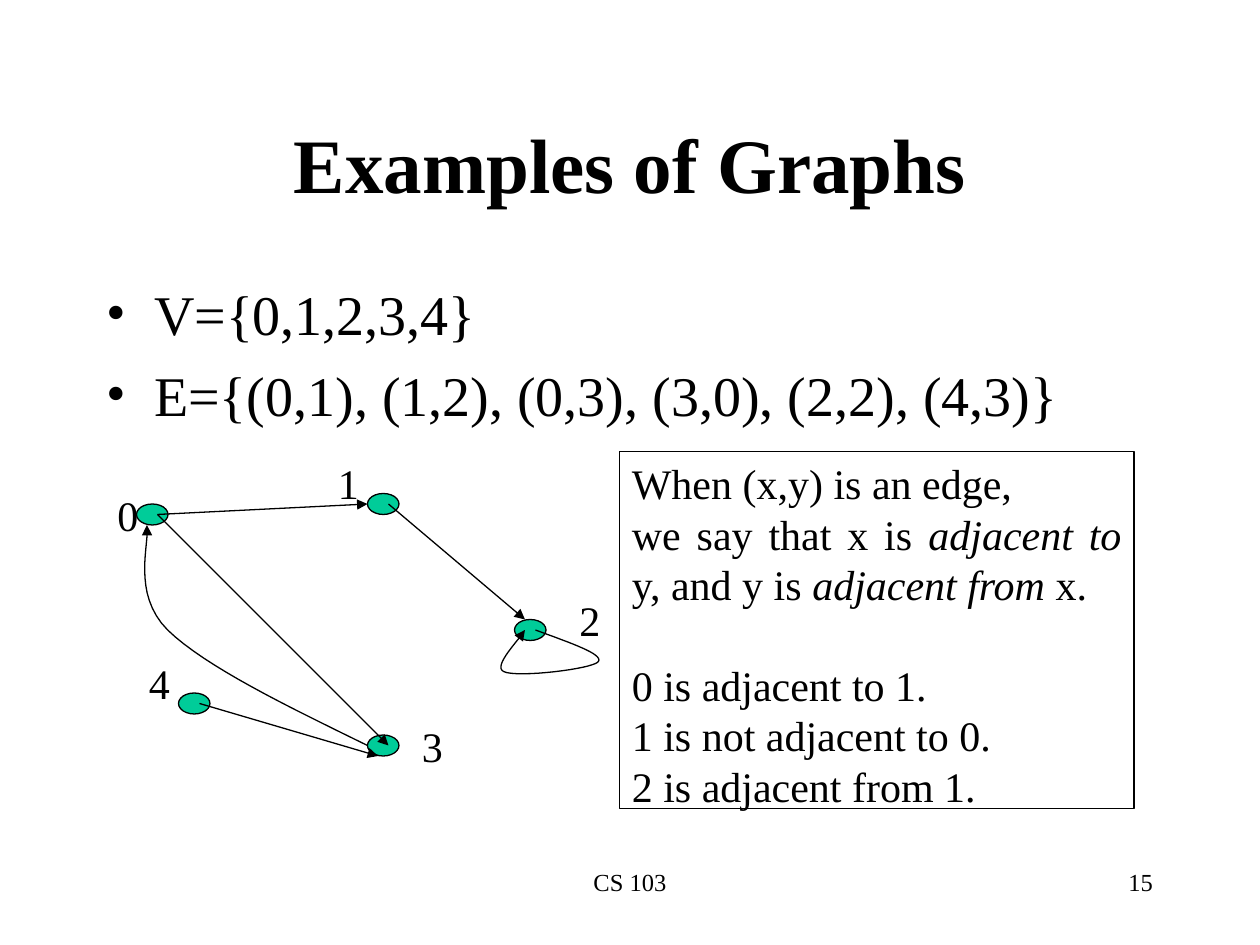
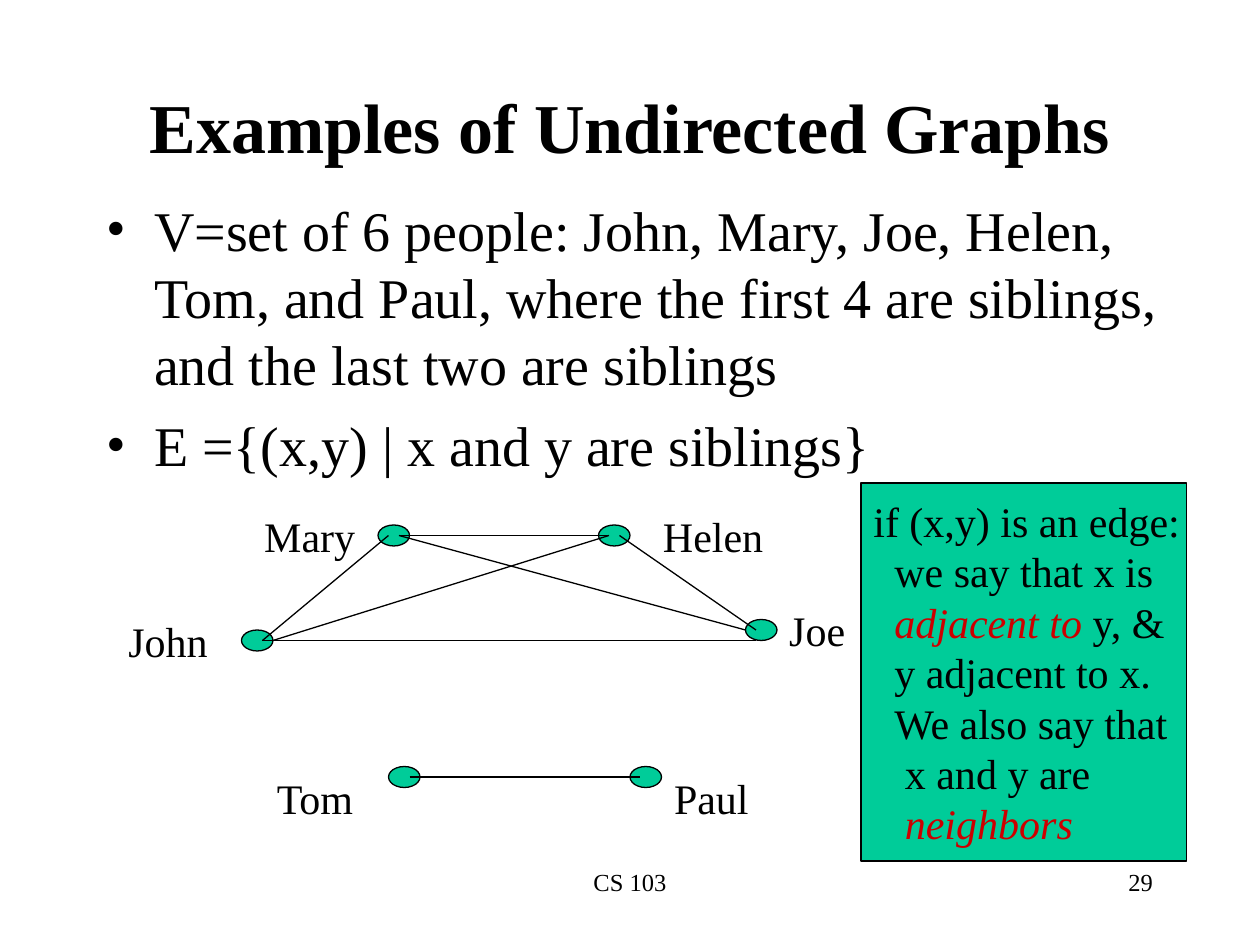
from pptx import Presentation
from pptx.dml.color import RGBColor
from pptx.enum.shapes import MSO_CONNECTOR, MSO_SHAPE
from pptx.enum.text import MSO_ANCHOR, MSO_AUTO_SIZE, PP_ALIGN
from pptx.oxml.ns import qn
from pptx.util import Pt
from lxml import etree

LEFT, CENTER, RIGHT, JUSTIFY = PP_ALIGN.LEFT, PP_ALIGN.CENTER, PP_ALIGN.RIGHT, PP_ALIGN.JUSTIFY
TOP, MIDDLE = MSO_ANCHOR.TOP, MSO_ANCHOR.MIDDLE
GROW, FIXED = MSO_AUTO_SIZE.SHAPE_TO_FIT_TEXT, MSO_AUTO_SIZE.NONE
OVAL, RECTANGLE = MSO_SHAPE.OVAL, MSO_SHAPE.RECTANGLE
STRAIGHT = MSO_CONNECTOR.STRAIGHT

FONT = "Times New Roman"
BLACK, GREEN, RED = "000000", "00CC99", "CC0000"
LINE_WIDTH = 0.75
NODE_WIDTH, NODE_HEIGHT = 18, 12
PORTS = {
    "left": (0, 6), "middle": (6, 6), "inner": (12, 6),
    "right": (18, 6), "top": (6, 0), "bottom": (6, 12),
}
CURVE_STEPS = 16

DIRECTED = {
    "nodes": {"0": (18, 30), "4": (42, 138), "3": (150, 162), "2": (234, 96), "1": (150, 24)},
    "labels": {"0": (0, 18, 27), "1": (126, 0, 27), "4": (18, 114, 27),
               "2": (264, 78, 27), "3": (174, 150, 27)},
    "edges": [("0", "inner", "1", "left"), ("1", "inner", "2", "top"),
              ("0", "inner", "3", "inner"), ("4", "inner", "3", "bottom")],
    "curves": [
        [(246, 102), (265.4, 109.2), (284.9, 115.7), (282, 120), (279.1, 124.3),
         (235.2, 129.4), (228, 125.8), (220.8, 122.9), (238, 106.3), (240, 102)],
        [(150, 168), (103.4, 145.2), (57.4, 122.9), (35.8, 102),
         (14.9, 81.1), (25.7, 52.3), (24, 42)],
    ],
}
SIBLINGS = {
    "nodes": {"John": (72, 72), "Mary": (150, 12), "Tom": (156, 150),
              "Paul": (294, 150), "Joe": (360, 66), "Helen": (276, 12)},
    "labels": {"John": (-3, 60, 66), "Joe": (375, 54, 52), "Mary": (75, 0, 72),
               "Helen": (303, 0, 77), "Tom": (81, 150, 66), "Paul": (309, 150, 63)},
    "edges": [("Mary", "inner", "Helen", "middle"), ("John", "inner", "Joe", "bottom"),
              ("John", "inner", "Mary", "middle"), ("Helen", "inner", "Joe", "middle"),
              ("Tom", "inner", "Paul", "middle"), ("John", "right", "Helen", "middle"),
              ("Mary", "inner", "Joe", "left")],
    "curves": [],
}


def color(hex_code):
    """Turn a hex string into a colour."""
    return RGBColor.from_string(hex_code)


def write_text(frame, text, size=24, bold=False, align=LEFT, anchor=TOP, wrap=True,
               fit=FIXED, emphasis=BLACK, bullet=False, before=None, indents=None):
    """Write one paragraph per line, with *starred* spans in italics."""
    frame.word_wrap = wrap
    frame.auto_size = fit
    frame.vertical_anchor = anchor
    for index, line in enumerate(text.split("\n")):
        para = frame.add_paragraph() if index else frame.paragraphs[0]
        para.alignment = align
        space = (before or {}).get(index, 8 if bullet else 0)
        para.space_before = Pt(space)
        margin = 27 if bullet else (indents or {}).get(index, 0)
        if margin:
            props = para._p.get_or_add_pPr()
            props.set("marL", str(Pt(margin)))
            props.set("indent", str(Pt(-margin if bullet else 0)))
            if bullet:
                etree.SubElement(props, qn("a:buFont")).set("typeface", FONT)
                etree.SubElement(props, qn("a:buChar")).set("char", "•")
        for part, words in enumerate(line.split("*")):
            if words:
                span = para.add_run()
                span.text = words
                span.font.name = FONT
                span.font.size = Pt(size)
                span.font.bold = bold
                span.font.italic = part % 2 == 1
                span.font.color.rgb = color(emphasis if part % 2 else BLACK)


def add_text(page, box, text, **style):
    """Place a text box with formatted text."""
    frame = page.shapes.add_textbox(*map(Pt, box)).text_frame
    write_text(frame, text, **style)


def add_outlined(page, kind, box, fill=None):
    """Place a preset shape with a thin black outline."""
    shape = page.shapes.add_shape(kind, *map(Pt, box))
    shape.shadow.inherit = False
    if fill:
        shape.fill.solid()
        shape.fill.fore_color.rgb = color(fill)
    else:
        shape.fill.background()
    style_line(shape)
    return shape


def style_line(shape, arrow=False):
    """Draw a shape's line thin and black, with an optional arrowhead at its end."""
    shape.line.color.rgb = color(BLACK)
    shape.line.width = Pt(LINE_WIDTH)
    if arrow:
        outline = shape.element.spPr.find(qn("a:ln"))
        etree.SubElement(outline, qn("a:tailEnd")).set("type", "triangle")


def add_edge(page, start, end, arrow):
    """Draw a straight edge between two points."""
    edge = page.shapes.add_connector(STRAIGHT, *map(Pt, start + end))
    style_line(edge, arrow)
    etree.SubElement(edge.element.spPr, qn("a:effectLst"))


def curve_points(controls):
    """Sample a chain of cubic curves, each sharing its end with the next."""
    points = [controls[0]]
    for first in range(0, len(controls) - 1, 3):
        a, b, c, d = controls[first:first + 4]
        for step in range(1, CURVE_STEPS + 1):
            t = step / CURVE_STEPS
            u = 1 - t
            points.append(tuple(
                u**3 * a[axis] + 3 * u * u * t * b[axis] + 3 * u * t * t * c[axis] + t**3 * d[axis]
                for axis in (0, 1)))
    return points


def add_curve(page, left, top, controls):
    """Draw a curved edge with an arrowhead."""
    points = [(Pt(left + x), Pt(top + y)) for x, y in curve_points(controls)]
    builder = page.shapes.build_freeform(*points[0])
    builder.add_line_segments(points[1:], close=False)
    curve = builder.convert_to_shape()
    curve.shadow.inherit = False
    curve.fill.background()
    style_line(curve, arrow=True)


def add_graph(page, left, top, graph, arrow=False, align=LEFT):
    """Draw nodes, labels and edges from the graph's top left corner."""
    nodes = graph["nodes"]

    def port(name, side):
        """Give the point of a node where an edge is attached."""
        return tuple(o + n + p for o, n, p in zip((left, top), nodes[name], PORTS[side]))

    for x, y in nodes.values():
        add_outlined(page, OVAL, (left + x, top + y, NODE_WIDTH, NODE_HEIGHT), GREEN)
    for name, (x, y, width) in graph["labels"].items():
        add_text(page, (left + x, top + y, width, 36), name, align=align, wrap=False, fit=GROW)
    for source, source_side, target, target_side in graph["edges"]:
        add_edge(page, port(source, source_side), port(target, target_side), arrow)
    for controls in graph["curves"]:
        add_curve(page, left, top, controls)


def add_panel(page, box, text, fill=None, **style):
    """Draw an outlined box with a justified definition."""
    panel = add_outlined(page, RECTANGLE, box, fill)
    write_text(panel.text_frame, text, align=JUSTIFY, **style)


def add_page(deck, number, title, title_height, title_size, body, body_box):
    """Add a page with its title, bullets and footer."""
    page = deck.slides.add_slide(deck.slide_layouts[6])
    add_text(page, (246, 492, 228, 36), "CS 103", size=14, align=CENTER)
    add_text(page, (516, 492, 150, 36), number, size=14, align=RIGHT)
    add_text(page, (54, 48, 612, title_height), title, size=title_size, bold=True,
             align=CENTER, anchor=MIDDLE)
    add_text(page, body_box, body, size=32, bullet=True)
    return page


def add_directed_page(deck):
    """Add the page on directed graphs."""
    page = add_page(deck, "15", "Examples of Graphs", 90, 44,
                    "V={0,1,2,3,4}\nE={(0,1), (1,2), (0,3), (3,0), (2,2), (4,3)}",
                    (54, 156, 612, 324))
    add_graph(page, 60, 258, DIRECTED, arrow=True)
    add_panel(page, (354, 258, 294, 204),
              "When (x,y) is an edge,\n"
              "we say that x is *adjacent to* y, and y is *adjacent from* x.\n"
              "0 is adjacent to 1.\n1 is not adjacent to 0.\n2 is adjacent from 1.",
              before={2: 28.8})


def add_undirected_page(deck):
    """Add the page on undirected graphs."""
    page = add_page(deck, "29", "Examples of Undirected Graphs", 48, 40,
                    "V=set of 6 people: John, Mary, Joe, Helen, Tom, and Paul, "
                    "where the first 4 are siblings, and the last two are siblings\n"
                    "E ={(x,y) | x and y are siblings}",
                    (54, 108, 630, 372))
    add_graph(page, 66, 288, SIBLINGS, align=CENTER)
    add_panel(page, (492, 276, 186, 216),
              "if (x,y) is an edge:\nwe say that x is\n*adjacent to* y, &\n"
              "y adjacent to x.\nWe also say that\nx and y are\n*neighbors*",
              fill=GREEN, anchor=MIDDLE, wrap=False, emphasis=RED,
              indents={1: 12, 2: 12, 3: 12, 4: 12, 5: 18, 6: 18})


def main():
    """Build and save the deck."""
    deck = Presentation()
    deck.slide_width, deck.slide_height = Pt(720), Pt(540)
    add_directed_page(deck)
    add_undirected_page(deck)
    deck.save("out.pptx")


if __name__ == "__main__":
    main()
